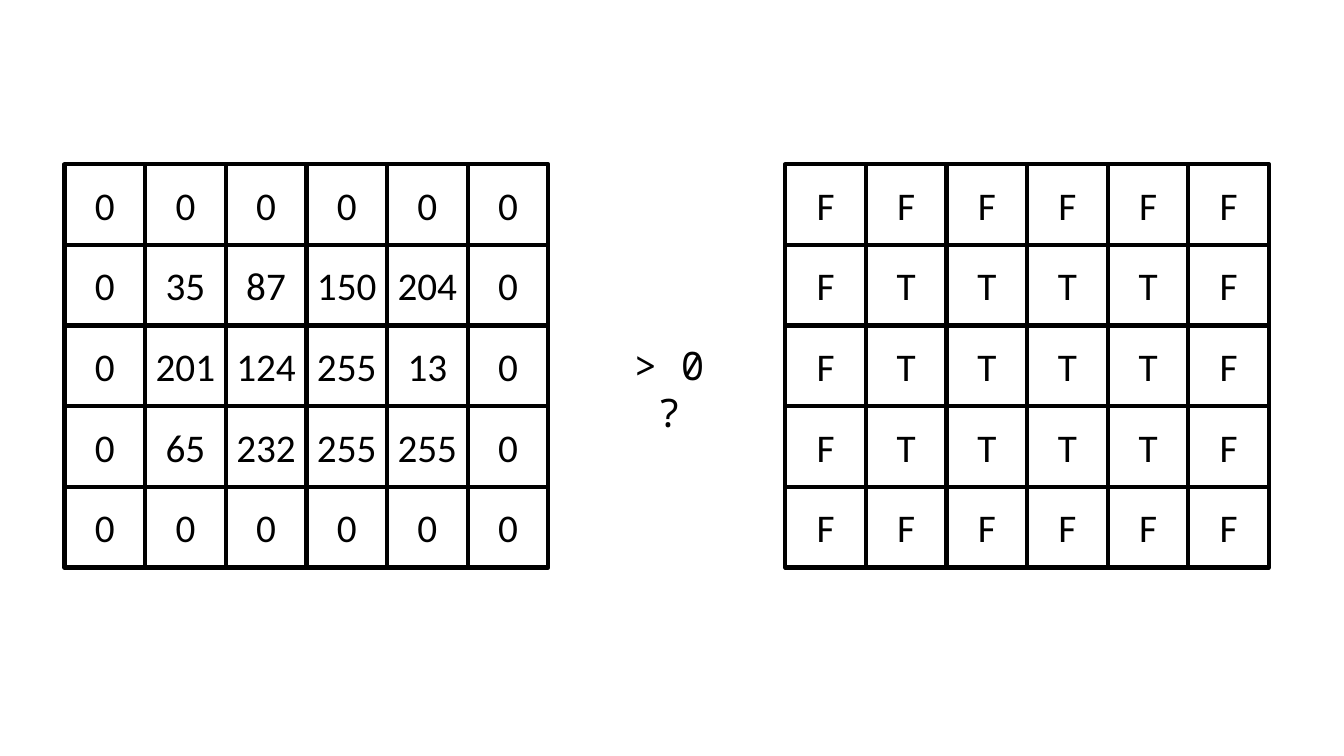
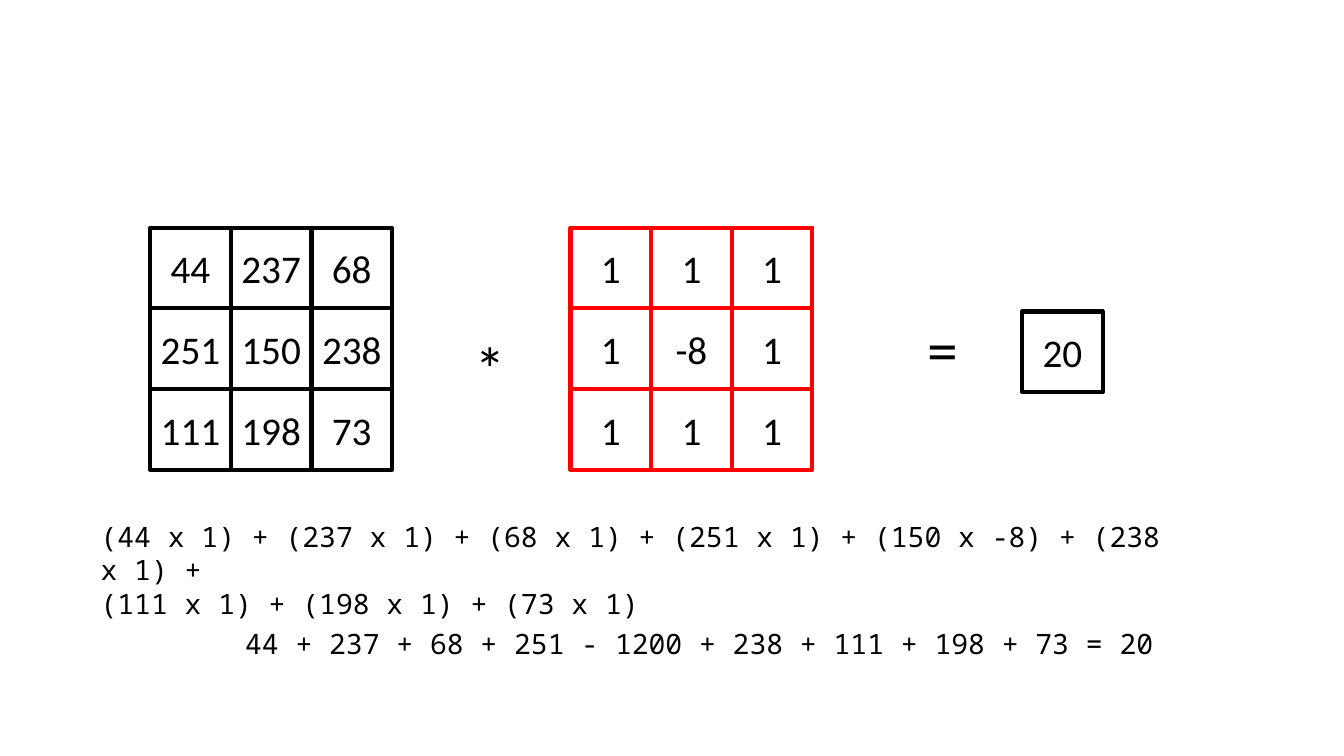
import dataclasses

import pptx
import pptx.dml.color
import pptx.enum.shapes
import pptx.enum.text
import pptx.util

Pt = pptx.util.Pt
Color = pptx.dml.color.RGBColor
Shape = pptx.enum.shapes.MSO_SHAPE
Align = pptx.enum.text.PP_ALIGN
Anchor = pptx.enum.text.MSO_ANCHOR
Fit = pptx.enum.text.MSO_AUTO_SIZE


@dataclasses.dataclass(frozen=True)
class Theme:
    black: Color = Color(0, 0, 0)
    red: Color = Color(255, 0, 0)
    sans: str = "Calibri"
    mono: str = "Noto Sans Mono"
    small: int = 20
    large: int = 28
    huge: int = 44
    cell: float = 57.6
    line: int = 3


class Deck:
    def __init__(self, theme):
        self.theme = theme
        self.show = pptx.Presentation()
        self.show.slide_width = Pt(960)
        self.show.slide_height = Pt(540)
        self.slide = None

    def page(self):
        self.slide = self.show.slides.add_slide(self.show.slide_layouts[6])

    def fill(self, frame, lines, size, font, align):
        for row, line in enumerate(lines):
            para = frame.add_paragraph() if row else frame.paragraphs[0]
            para.alignment = align
            run = para.add_run()
            run.text = line
            run.font.size = Pt(size)
            run.font.name = font
            run.font.color.rgb = self.theme.black

    def cell(self, shapes, left, top, value, color):
        side = Pt(self.theme.cell)
        box = shapes.add_shape(Shape.RECTANGLE, Pt(left), Pt(top), side, side)
        box.shadow.inherit = False
        box.fill.background()
        box.line.color.rgb = color
        box.line.width = Pt(self.theme.line)
        box.text_frame.word_wrap = True
        box.text_frame.vertical_anchor = Anchor.MIDDLE
        self.fill(box.text_frame, [str(value)], self.theme.large,
                  self.theme.sans, Align.CENTER)

    def grid(self, left, top, rows, color):
        group = self.slide.shapes.add_group_shape()
        side = self.theme.cell
        for row, values in enumerate(rows):
            for col, value in enumerate(values):
                self.cell(group.shapes, left + col * side, top + row * side,
                          value, color)

    def text(self, left, top, width, height, lines, size, font,
             align=Align.LEFT, wrap=True):
        box = self.slide.shapes.add_textbox(Pt(left), Pt(top), Pt(width), Pt(height))
        box.text_frame.word_wrap = wrap
        box.text_frame.auto_size = Fit.SHAPE_TO_FIT_TEXT
        self.fill(box.text_frame, lines, size, font, align)

    def sign(self, left, top, mark):
        self.text(left, top, 36.7, 60.5, [mark], self.theme.huge,
                  self.theme.sans, wrap=False)


def mask(deck):
    theme = deck.theme
    pixels = [
        [0, 0, 0, 0, 0, 0],
        [0, 35, 87, 150, 204, 0],
        [0, 201, 124, 255, 13, 0],
        [0, 65, 232, 255, 255, 0],
        [0, 0, 0, 0, 0, 0],
    ]
    flags = [["T" if pixel > 0 else "F" for pixel in row] for row in pixels]
    deck.page()
    deck.grid(46.1, 117.4, pixels, theme.black)
    deck.grid(560.9, 117.4, flags, theme.black)
    deck.text(445, 240.5, 66, 75, ["> 0", "?"], theme.large, theme.mono,
              Align.CENTER)


def filter_sum(deck):
    theme = deck.theme
    pixels = [[44, 237, 68], [251, 150, 238], [111, 198, 73]]
    kernel = [[1, 1, 1], [1, -8, 1], [1, 1, 1]]
    deck.page()
    deck.grid(107.3, 162.7, pixels, theme.black)
    deck.grid(407.5, 162.7, kernel, theme.red)
    deck.sign(331.9, 231.8, "*")
    deck.sign(655.2, 218.9, "=")
    deck.cell(deck.slide.shapes, 730.1, 222.5, 20, theme.black)
    deck.text(64.8, 367.2, 792, 55.4, [
        "(44 x 1) + (237 x 1) + (68 x 1) + (251 x 1) + (150 x -8) + (238 x 1) +",
        "(111 x 1) + (198 x 1) + (73 x 1)",
    ], theme.small, theme.mono)
    deck.text(168, 444.2, 792, 31.7, [
        "44 + 237 + 68 + 251 - 1200 + 238 + 111 + 198 + 73 = 20",
    ], theme.small, theme.mono)


def main():
    deck = Deck(Theme())
    mask(deck)
    filter_sum(deck)
    deck.show.save("out.pptx")


if __name__ == "__main__":
    main()
